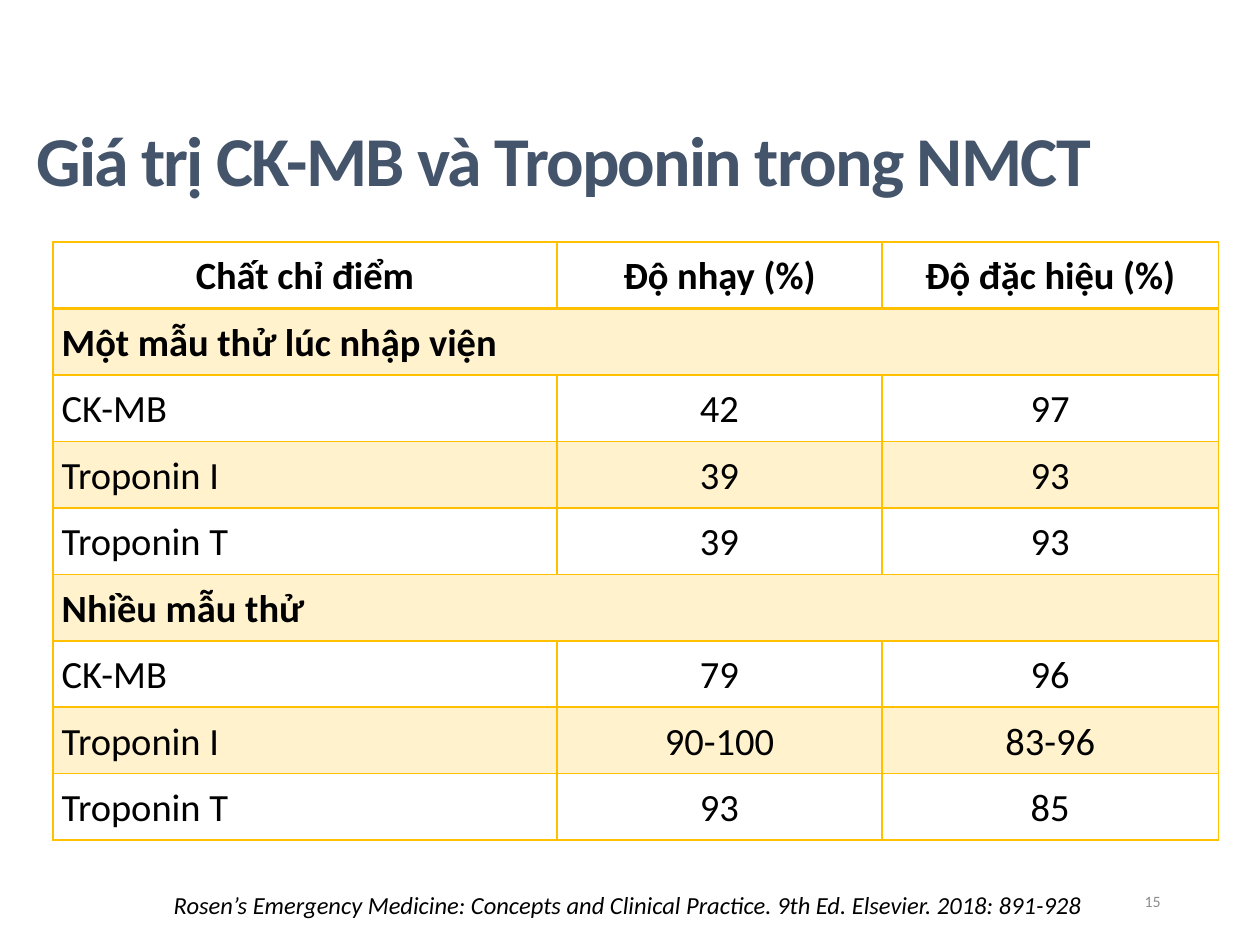
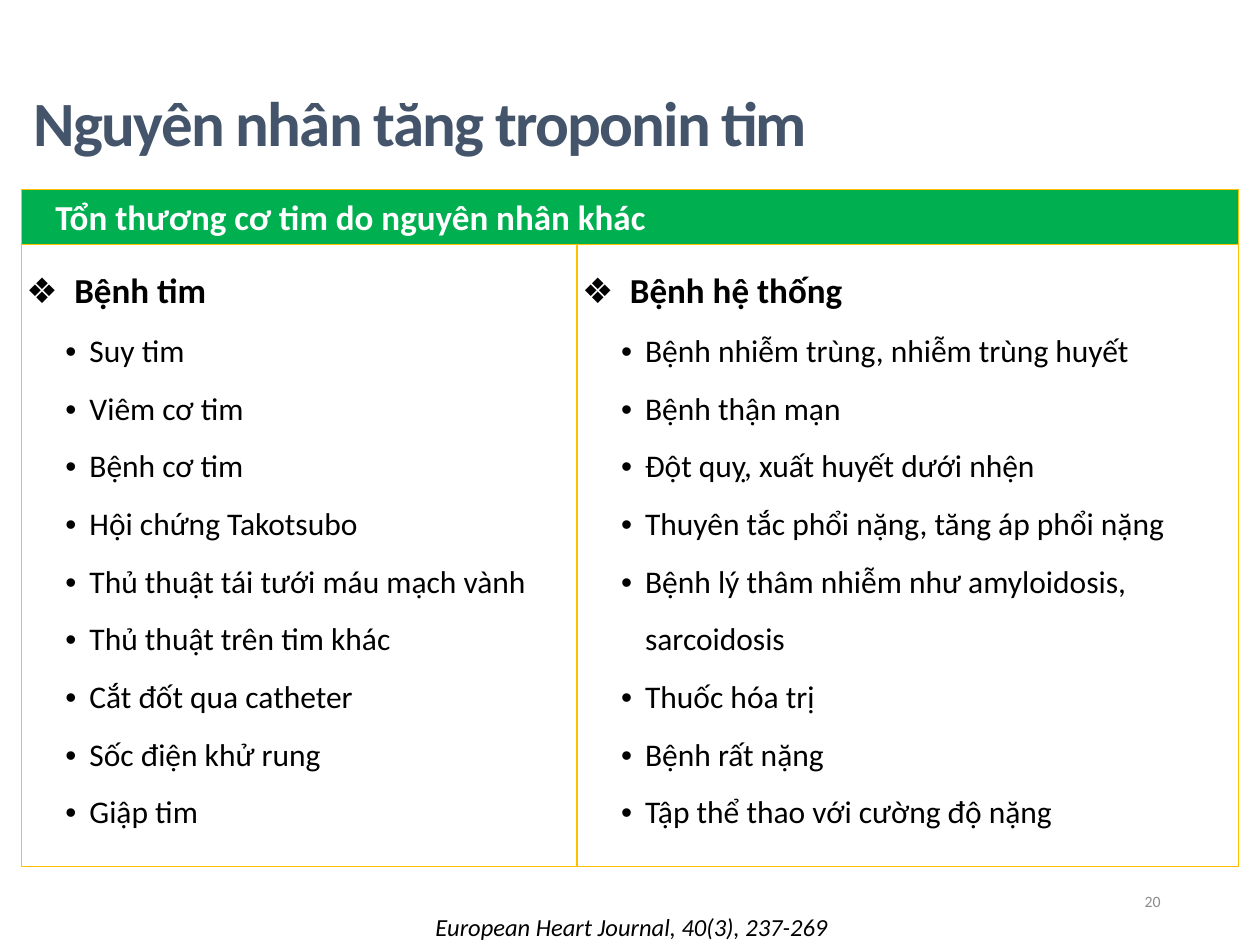
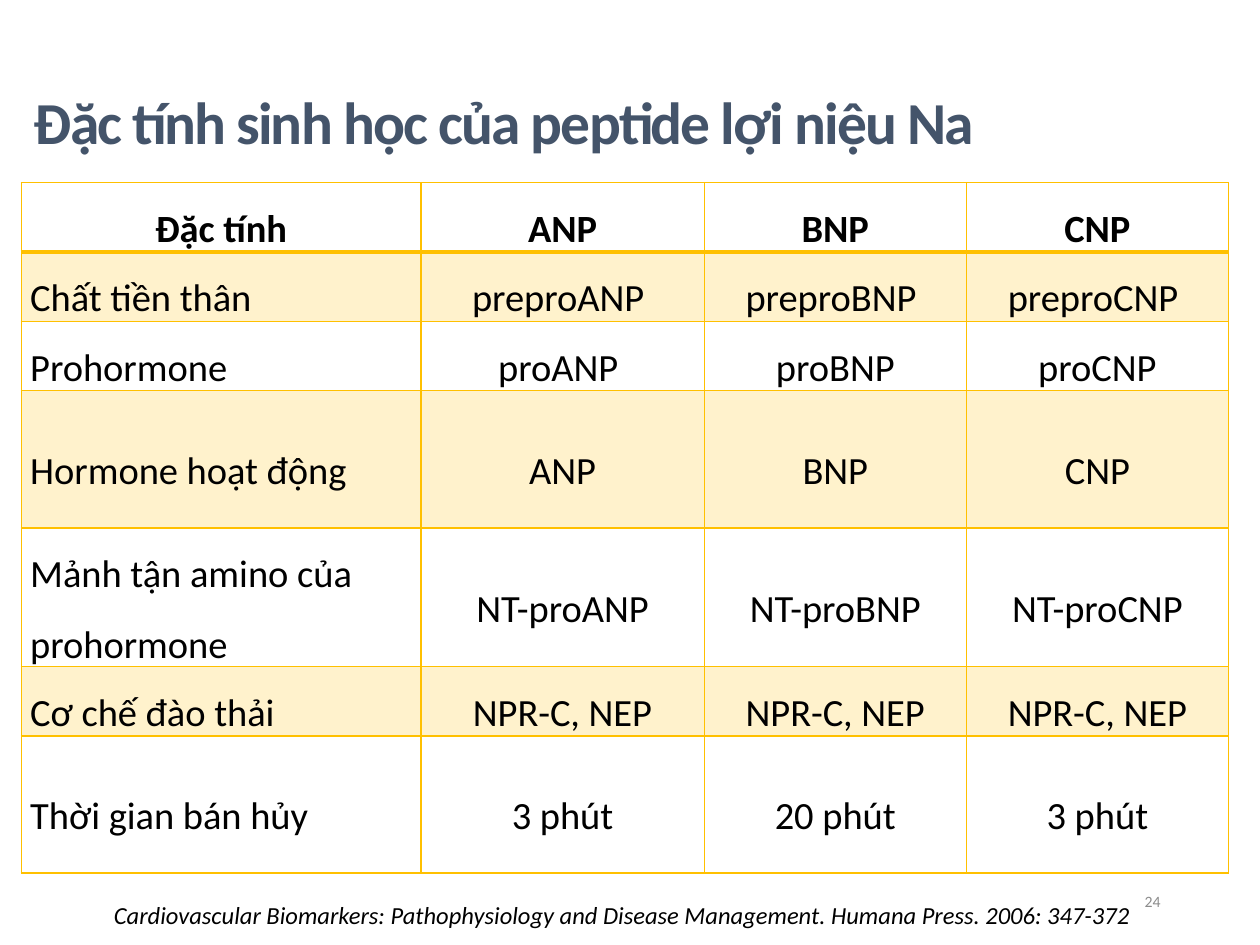
from pptx import Presentation
from pptx.dml.color import RGBColor
from pptx.enum.text import MSO_ANCHOR, PP_ALIGN
from pptx.oxml.ns import qn
from pptx.util import Inches, Pt
from lxml import etree

LEFT, CENTER = PP_ALIGN.LEFT, PP_ALIGN.CENTER
RIGHT, JUSTIFY = PP_ALIGN.RIGHT, PP_ALIGN.JUSTIFY
TOP, MIDDLE = MSO_ANCHOR.TOP, MSO_ANCHOR.MIDDLE

COLORS = {
    "title": "44546A",
    "text": "000000",
    "number": "8C8C8C",
    "amber": "FFC000",
    "green": "00B050",
    "white": "FFFFFF",
}
FORMATS = {
    "title": {"bold": True},
    "number": {"size": Pt(9)},
    "source": {"size": Pt(14), "italic": True},
    "head": {"size": Pt(22), "bold": True},
    "body": {"size": Pt(22), "bold": False},
    "group": {"size": Pt(20), "bold": True},
    "item": {"size": Pt(18), "bold": False},
}


def write(p, text, style, color="text", align=LEFT, spacing=1.0,
          indent=(0, 0), bullet=None, **extra):
    """Fill one paragraph with a formatted run."""
    p.alignment, p.line_spacing = align, spacing
    pPr = p._p.get_or_add_pPr()
    if any(indent):
        pPr.set("marL", str(Inches(indent[0])))
        pPr.set("indent", str(Inches(indent[1])))
    if bullet:
        etree.SubElement(pPr, qn("a:buFont"), typeface="Arial")
        etree.SubElement(pPr, qn("a:buChar"), char=bullet)
    r = p.add_run()
    r.text = text
    r.font.name = "Calibri"
    r.font.color.rgb = RGBColor.from_string(COLORS[color])
    for name, value in {**FORMATS[style], **extra}.items():
        setattr(r.font, name, value)
    return r


def style_cell(cell, margins, borders, fill=None, alpha=None, anchor=MIDDLE):
    """Set margins, border widths (left, right, top, bottom) and fill."""
    cell.margin_left = cell.margin_right = Inches(margins[0])
    cell.margin_top = cell.margin_bottom = Inches(margins[1])
    cell.vertical_anchor = anchor
    tcPr = cell._tc.get_or_add_tcPr()
    for side, width in zip("LRTB", borders):
        ln = etree.SubElement(tcPr, qn("a:ln" + side), w=str(Pt(width)))
        solid = etree.SubElement(ln, qn("a:solidFill"))
        etree.SubElement(solid, qn("a:srgbClr"), val=COLORS["amber"])
    if fill is None:
        cell.fill.background()
        return
    cell.fill.solid()
    cell.fill.fore_color.rgb = RGBColor.from_string(COLORS[fill])
    if alpha:
        clr = tcPr.find(qn("a:solidFill")).find(qn("a:srgbClr"))
        etree.SubElement(clr, qn("a:alpha"), val=str(alpha * 1000))


prs = Presentation()
prs.slide_width, prs.slide_height = Inches(10), Inches(7.5)

# Title, source and page number of every slide
PAGES = [
    ("15", "Giá trị CK-MB và Troponin trong NMCT", 40, (0.19, 0.72, 8.96, 1.08),
     "Rosen’s Emergency Medicine: Concepts and Clinical Practice. 9th Ed. "
     "Elsevier. 2018: 891-928", (0.47, 7, 9.03, 0.35)),
    ("20", "Nguyên nhân tăng troponin tim", 36, (0.17, 0.42, 8.96, 1.08),
     "European Heart Journal, 40(3), 237-269", (0.5, 7.17, 9.03, 0.33)),
    ("24", "Đặc tính sinh học của peptide lợi niệu Na", 34, (0.17, 0.42, 9.33, 1.08),
     "Cardiovascular Biomarkers: Pathophysiology and Disease Management. "
     "Humana Press. 2006: 347-372", (0.3, 7.08, 9.28, 0.35)),
]
for number, title, size, title_box, source, source_box in PAGES:
    s = prs.slides.add_slide(prs.slide_layouts[6])
    for box, anchor, text, style, color, opts in [
        ((7.06, 6.95, 2.25, 0.4), MIDDLE, number, "number", "number", {"align": RIGHT}),
        (title_box, MIDDLE, title, "title", "title", {"size": Pt(size)}),
        (source_box, TOP, source, "source", "text", {"align": CENTER, "spacing": 1.07}),
    ]:
        tf = s.shapes.add_textbox(*map(Inches, box)).text_frame
        tf.word_wrap, tf.vertical_anchor = True, anchor
        r = write(tf.paragraphs[0], text, style, color, **opts)
        if style == "title":
            r._r.get_or_add_rPr().set("spc", "-100")

# Slides 1 and 3: grids with tinted alternate rows; a one-item row spans the grid
MARKERS = [
    ["Chất chỉ điểm", "Độ nhạy (%)", "Độ đặc hiệu (%)"],
    ["Một mẫu thử lúc nhập viện"],
    ["CK-MB", "42", "97"],
    ["Troponin I", "39", "93"],
    ["Troponin T", "39", "93"],
    ["Nhiều mẫu thử"],
    ["CK-MB", "79", "96"],
    ["Troponin I", "90-100", "83-96"],
    ["Troponin T", "93", "85"],
]
PEPTIDES = [
    ["Đặc tính", "ANP", "BNP", "CNP"],
    ["Chất tiền thân", "preproANP ", "preproBNP ", "preproCNP "],
    ["Prohormone", "proANP ", "proBNP", "proCNP"],
    ["Hormone hoạt động", "ANP", "BNP", "CNP"],
    ["Mảnh tận amino của prohormone", "NT-proANP", "NT-proBNP", "NT-proCNP"],
    ["Cơ chế đào thải", "NPR-C, NEP", "NPR-C, NEP", "NPR-C, NEP"],
    ["Thời gian bán hủy", "3 phút", "20 phút", "3 phút"],
]
GRIDS = [
    (0, MARKERS, (0.42, 1.92, 9.25, 4.75), [4, 2.58, 2.67], [4.75 / 9] * 9,
     JUSTIFY, 1.07, {1, 3, 5, 7}),
    (2, PEPTIDES, (0.17, 1.45, 9.58, 5.48), [3.17, 2.25, 2.08, 2.08],
     [0.53, 0.53, 0.53, 1.09, 1.09, 0.53, 1.09], LEFT, 1.5, {1, 3, 5}),
]
for page, rows, box, widths, heights, first_align, spacing, tinted in GRIDS:
    tbl = prs.slides[page].shapes.add_table(
        len(rows), len(widths), *map(Inches, box)).table
    tbl.horz_banding = tbl.first_row = False
    for col, width in zip(tbl.columns, widths):
        col.width = Inches(width)
    for i, row in enumerate(rows):
        tbl.rows[i].height = Inches(heights[i])
        for j in range(len(widths)):
            cell = tbl.cell(i, j)
            margin = 0.02 if (page, i, j) == (0, 0, 2) else 0.07
            borders = (1, 1, 2 if i == 1 else 1, 2 if i == 0 else 1)
            style_cell(cell, (margin, 0), borders,
                       "amber" if i in tinted else None, 20)
            if j < len(row):
                write(cell.text_frame.paragraphs[0], row[j],
                      "head" if i == 0 or len(row) == 1 else "body",
                      align=first_align if i and j == 0 else CENTER,
                      spacing=spacing)
        if len(row) == 1:
            tbl.cell(i, 0).merge(tbl.cell(i, len(widths) - 1))

# Slide 2: green band over two lists of causes
CAUSES = [
    ("Bệnh tim", JUSTIFY, [
        "Suy tim", "Viêm cơ tim", "Bệnh cơ tim", "Hội chứng Takotsubo",
        "Thủ thuật tái tưới máu mạch vành", "Thủ thuật trên tim khác",
        "Cắt đốt qua catheter", "Sốc điện khử rung", "Giập tim"]),
    ("Bệnh hệ thống", LEFT, [
        "Bệnh nhiễm trùng, nhiễm trùng huyết", "Bệnh thận mạn",
        "Đột quỵ, xuất huyết dưới nhện",
        "Thuyên tắc phổi nặng, tăng áp phổi nặng",
        "Bệnh lý thâm nhiễm như amyloidosis, sarcoidosis", "Thuốc hóa trị",
        "Bệnh rất nặng", "Tập thể thao với cường độ nặng"]),
]
tbl = prs.slides[1].shapes.add_table(
    2, 2, *map(Inches, (0.17, 1.5, 9.66, 5.38))).table
tbl.horz_banding = tbl.first_row = False
tbl.rows[0].height, tbl.rows[1].height = Inches(0.4), Inches(4.94)
tbl.columns[0].width, tbl.columns[1].width = Inches(4.41), Inches(5.25)

for j, (group, align, items) in enumerate(CAUSES):
    style_cell(tbl.cell(0, j), (0.04, 0.04), (0.5, 0.5, 0.5, 0.5), "green")
    cell = tbl.cell(1, j)
    style_cell(cell, (0.04, 0.04), (1, 0.5, 0.5, 0.5) if j else (0.5, 1, 0.5, 0.5),
               anchor=TOP)
    tf = cell.text_frame
    write(tf.paragraphs[0], group, "group", align=JUSTIFY, spacing=1.5,
          indent=(0.38, -0.38), bullet="❖")
    for item in items:
        write(tf.add_paragraph(), item, "item", align=align, spacing=1.5,
              indent=(0.5, -0.19), bullet="•")

band = tbl.cell(0, 0)
band.merge(tbl.cell(0, 1))
write(band.text_frame.paragraphs[0], "Tổn thương cơ tim do nguyên nhân khác",
      "group", "white", JUSTIFY, 1.07, indent=(0, 0.23))

prs.save("out.pptx")
